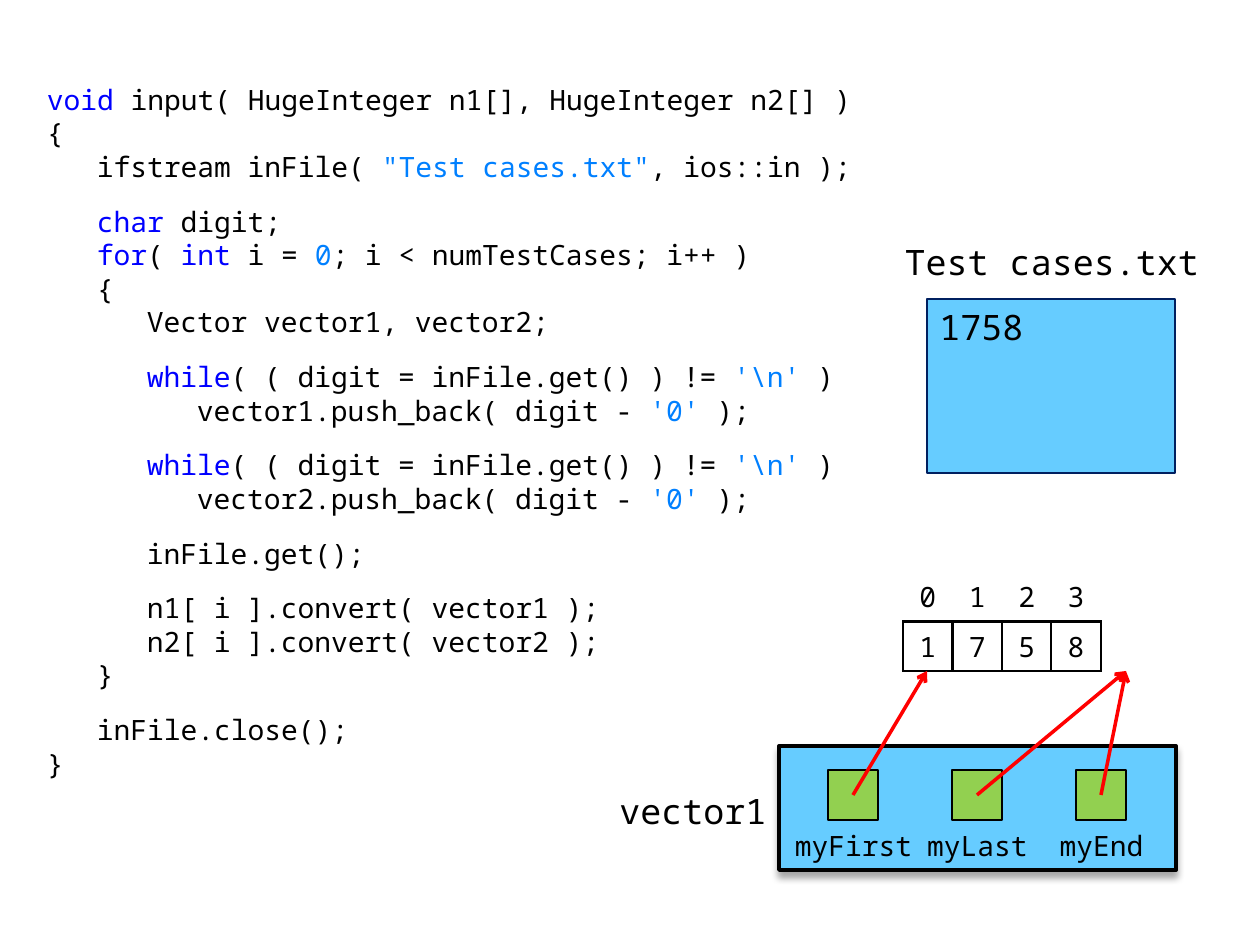
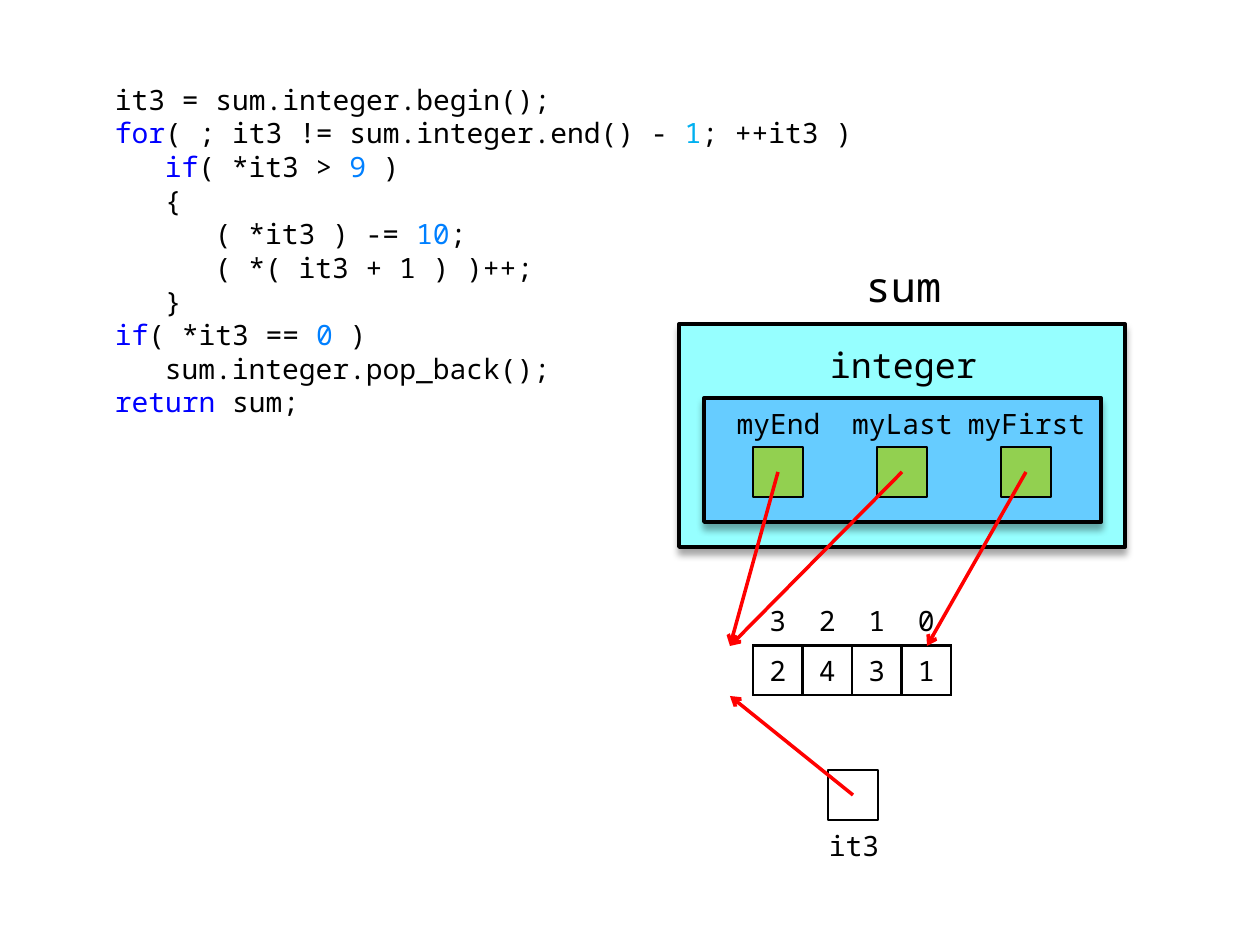
from lxml import etree
from pptx import Presentation
from pptx.dml.color import RGBColor
from pptx.enum import shapes, text
from pptx.oxml.ns import qn
from pptx.util import Emu, Pt

FONT = "Noto Sans Mono"
COLOURS = {
    "black": "000000",
    "white": "FFFFFF",
    "keyword": "0000FF",
    "literal": "0080FF",
    "offset": "00B0F0",
    "object": "96FFFF",
    "vector": "66CCFF",
    "slot": "92D050",
    "navy": "002060",
    "arrow": "FF0000",
}
MARKS = {"~": "keyword", "`": "literal", "^": "offset"}
SLOT, PITCH, INDENT = 50, 124, 50
LABEL_WIDTH = 149

INPUT_CODE = r"""
~void~ input( HugeInteger n1[], HugeInteger n2[] )
{
   ifstream inFile( `"Test cases.txt"`, ios::in );

   ~char~ digit;
   ~for~( ~int~ i = `0`; i < numTestCases; i++ )
   {
      Vector vector1, vector2;

      ~while~( ( digit = inFile.get() ) != `'\n'` )
         vector1.push_back( digit - `'0'` );

      ~while~( ( digit = inFile.get() ) != `'\n'` )
         vector2.push_back( digit - `'0'` );

      inFile.get();

      n1[ i ].convert( vector1 );
      n2[ i ].convert( vector2 );
   }

   inFile.close();
}
"""

CARRY_CODE = """
it3 = sum.integer.begin();
~for~( ; it3 != sum.integer.end() - ^1^; ++it3 )
   ~if~( *it3 > `9` )
   {
      ( *it3 ) -= `10`;
      ( *( it3 + 1 ) )++;
   }
~if~( *it3 == `0` )
   sum.integer.pop_back();
~return~ sum;
"""


def px(length):
    """Turn pixels into EMU."""
    return Emu(round(length * 914400 / 126))


def colour(name):
    """Look up a named colour."""
    return RGBColor.from_string(COLOURS[name])


def style(span, size=16, name="black"):
    """Set the font of a run."""
    span.font.name = FONT
    span.font.size = Pt(size)
    span.font.color.rgb = colour(name)


def split_marks(line):
    """Yield pieces of a marked code line with their colour names."""
    piece, current = "", "black"
    for letter in line:
        if letter in MARKS:
            if piece:
                yield piece, current
            piece = ""
            current = MARKS[letter] if current == "black" else "black"
        else:
            piece += letter
    if piece:
        yield piece, current


def add_code(page, left, top, width, height, inset, code):
    """Add a code listing, indented by paragraph and spaced at block breaks."""
    frame = page.shapes.add_textbox(px(left), px(top), px(width), px(height)).text_frame
    frame.word_wrap = True
    frame.margin_left = px(inset)
    first, gap = True, False
    for line in code.strip("\n").split("\n"):
        if not line:
            gap = True
            continue
        para = frame.paragraphs[0] if first else frame.add_paragraph()
        para.line_spacing = Pt(19.24)
        para.space_before = Pt(12 if gap else 0)
        first, gap = False, False
        bare = line.lstrip()
        level = (len(line) - len(bare)) // 3
        properties = para._p.get_or_add_pPr()
        properties.set("marL", str(px(level * INDENT)))
        properties.set("indent", "0")
        for piece, name in split_marks(bare):
            span = para.add_run()
            span.text = piece
            style(span, name=name)


def write(box, words, size, align, anchor):
    """Put one styled line of text in a shape."""
    frame = box.text_frame
    frame.word_wrap = True
    frame.vertical_anchor = anchor
    frame.text = words
    para = frame.paragraphs[0]
    para.alignment = align
    style(para.runs[0], size)


def add_label(page, left, top, width, height, words, size=16, align=text.PP_ALIGN.CENTER):
    """Add a vertically centred label."""
    box = page.shapes.add_textbox(px(left), px(top), px(width), px(height))
    write(box, words, size, align, text.MSO_ANCHOR.MIDDLE)
    return box


def add_box(page, left, top, width, height, fill, line="black", weight=1.5,
            kind=shapes.MSO_SHAPE.RECTANGLE):
    """Add a filled, outlined box."""
    box = page.shapes.add_shape(kind, px(left), px(top), px(width), px(height))
    box.shadow.inherit = False
    box.fill.solid()
    box.fill.fore_color.rgb = colour(fill)
    box.line.color.rgb = colour(line)
    box.line.width = Pt(weight)
    return box


def add_raised_box(page, left, top, width, height, fill):
    """Add a thick-lined box with a soft shadow below."""
    box = add_box(page, left, top, width, height, fill, weight=2.25,
                  kind=shapes.MSO_SHAPE.FLOWCHART_PROCESS)
    effects = box._element.spPr.find(qn("a:effectLst"))
    shadow = etree.SubElement(effects, qn("a:outerShdw"), blurRad=str(Pt(4)),
                              dist=str(Pt(3)), dir="5400000", rotWithShape="0")
    tint = etree.SubElement(shadow, qn("a:srgbClr"), val=COLOURS["black"])
    etree.SubElement(tint, qn("a:alpha"), val="35000")


def add_arrow(page, start, end):
    """Add a red pointer arrow."""
    line = page.shapes.add_connector(shapes.MSO_CONNECTOR.STRAIGHT,
                                     *(px(value) for value in start + end))
    line.line.color.rgb = colour("arrow")
    line.line.width = Pt(2)
    outline = line.line._get_or_add_ln()
    etree.SubElement(outline, qn("a:tailEnd"), type="arrow")
    etree.SubElement(line._element.spPr, qn("a:effectLst"))


def add_border(cell, sides):
    """Draw black borders on the given sides of a cell."""
    properties = cell._tc.get_or_add_tcPr()
    for place, side in enumerate(sides):
        line = etree.Element(qn("a:ln" + side), w=str(Pt(1.5)))
        fill = etree.SubElement(line, qn("a:solidFill"))
        etree.SubElement(fill, qn("a:srgbClr"), val=COLOURS["black"])
        properties.insert(place, line)


def add_array(page, left, top, indices, digits, fill=None):
    """Add an array as a table: indices above boxed digits."""
    width, height, count = 198, 99, len(digits)
    table = page.shapes.add_table(2, count, px(left), px(top), px(width), px(height)).table
    table.first_row = table.horz_banding = False
    for column in table.columns:
        column.width = px(width / count)
    for row, values, sides in zip((0, 1), (indices, digits), ("B", "LRTB")):
        table.rows[row].height = px(height / 2)
        for column, value in enumerate(values):
            cell = table.cell(row, column)
            cell.margin_left = cell.margin_right = px(8)
            cell.margin_top = cell.margin_bottom = px(5)
            cell.vertical_anchor = text.MSO_ANCHOR.MIDDLE
            if fill and row:
                cell.fill.solid()
                cell.fill.fore_color.rgb = colour(fill)
            else:
                cell.fill.background()
            add_border(cell, sides)
            cell.text_frame.text = value
            para = cell.text_frame.paragraphs[0]
            para.alignment = text.PP_ALIGN.CENTER
            style(para.runs[0])


def add_vector(page, left, top, slot_drop, label_drop, members):
    """Add a vector box whose named slots point at their targets."""
    add_raised_box(page, left, top, 397, 124, "vector")
    for index, (name, target) in enumerate(members):
        slot_left = left + 49 + index * PITCH
        centre = slot_left + SLOT // 2
        add_box(page, slot_left, top + slot_drop, SLOT, SLOT, "slot")
        add_label(page, centre - LABEL_WIDTH // 2, top + label_drop, LABEL_WIDTH, SLOT, name)
    for index, (name, target) in enumerate(members):
        centre = left + 49 + index * PITCH + SLOT // 2
        add_arrow(page, (centre, top + slot_drop + SLOT // 2), target)


def build_input_page(page):
    """Show digits read from a file into a vector."""
    add_code(page, 34, 76, 843, 719, 13, INPUT_CODE)
    file_box = add_box(page, 927, 299, 248, 174, "vector", "navy")
    write(file_box, "1758", 20, text.PP_ALIGN.LEFT, text.MSO_ANCHOR.TOP)
    add_label(page, 878, 224, 348, 74, "Test cases.txt", 20)
    add_array(page, 903, 572, "0123", "1758")
    name = add_label(page, 605, 770, 174, 74, "vector1", 20, text.PP_ALIGN.RIGHT)
    name.text_frame.margin_bottom = 0
    past_end = (1126, 671)
    add_vector(page, 779, 746, 24, 74, [
        ("myFirst", (927, 671)), ("myLast", past_end), ("myEnd", past_end)])


def build_carry_page(page):
    """Show the carry loop and the iterator past the last digit."""
    add_code(page, 110, 76, 769, 348, 5, CARRY_CODE)
    add_array(page, 753, 596, "3210", "2431", "white")
    add_box(page, 828, 770, SLOT, SLOT, "white")
    add_label(page, 804, 820, 100, SLOT, "it3")
    add_arrow(page, (853, 795), (730, 696))
    add_label(page, 829, 249, 149, 74, "sum", 24)
    add_raised_box(page, 679, 324, 446, 223, "object")
    name = add_label(page, 804, 324, 199, 74, "integer", 20)
    name.text_frame.margin_bottom = 0
    past_end = (730, 646)
    add_vector(page, 704, 398, 49, 0, [
        ("myEnd", past_end), ("myLast", past_end), ("myFirst", (927, 646))])


def main():
    """Build and save the deck."""
    deck = Presentation()
    deck.slide_width, deck.slide_height = px(1260), px(945)
    for build in (build_input_page, build_carry_page):
        build(deck.slides.add_slide(deck.slide_layouts[6]))
    deck.save("out.pptx")


main()
